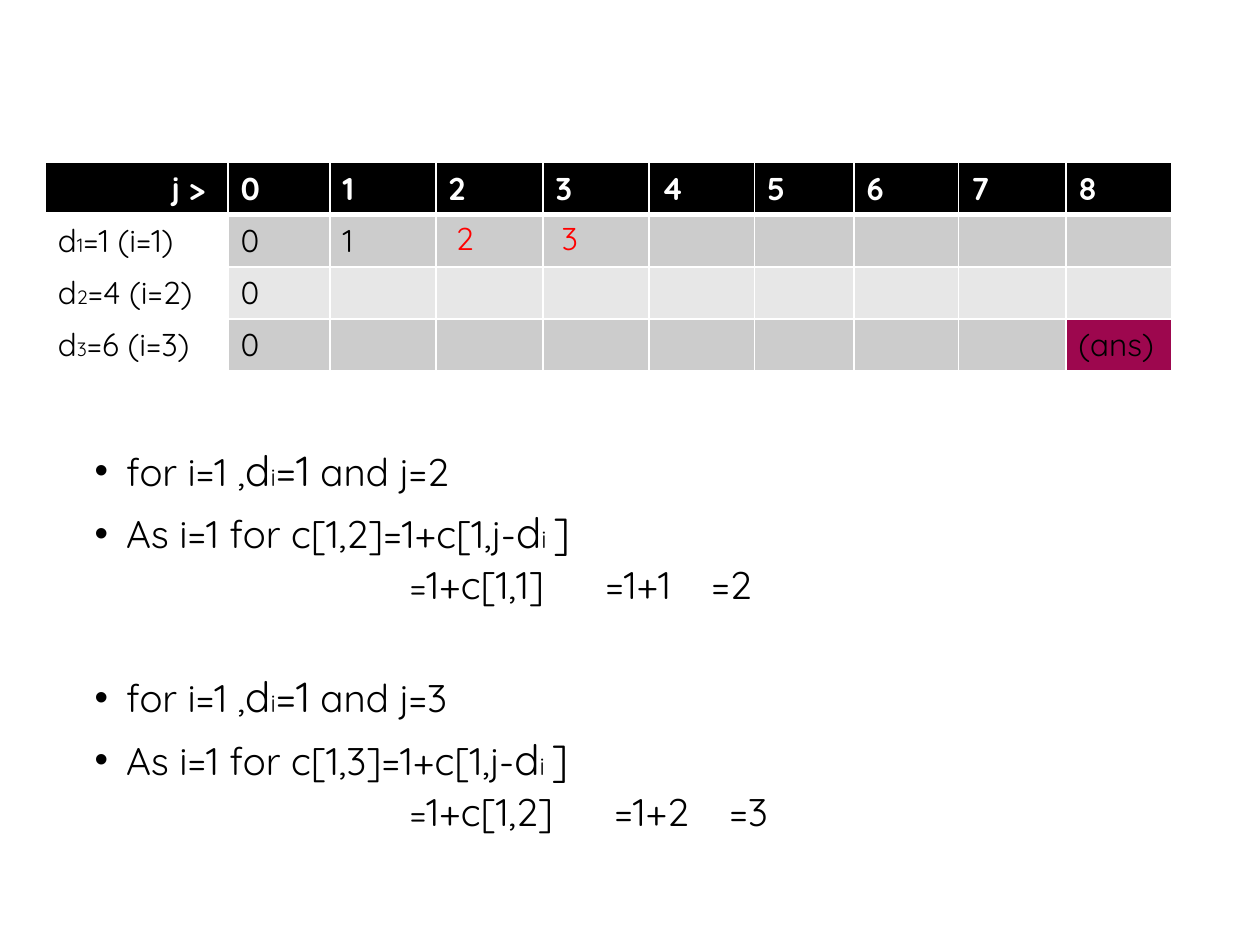
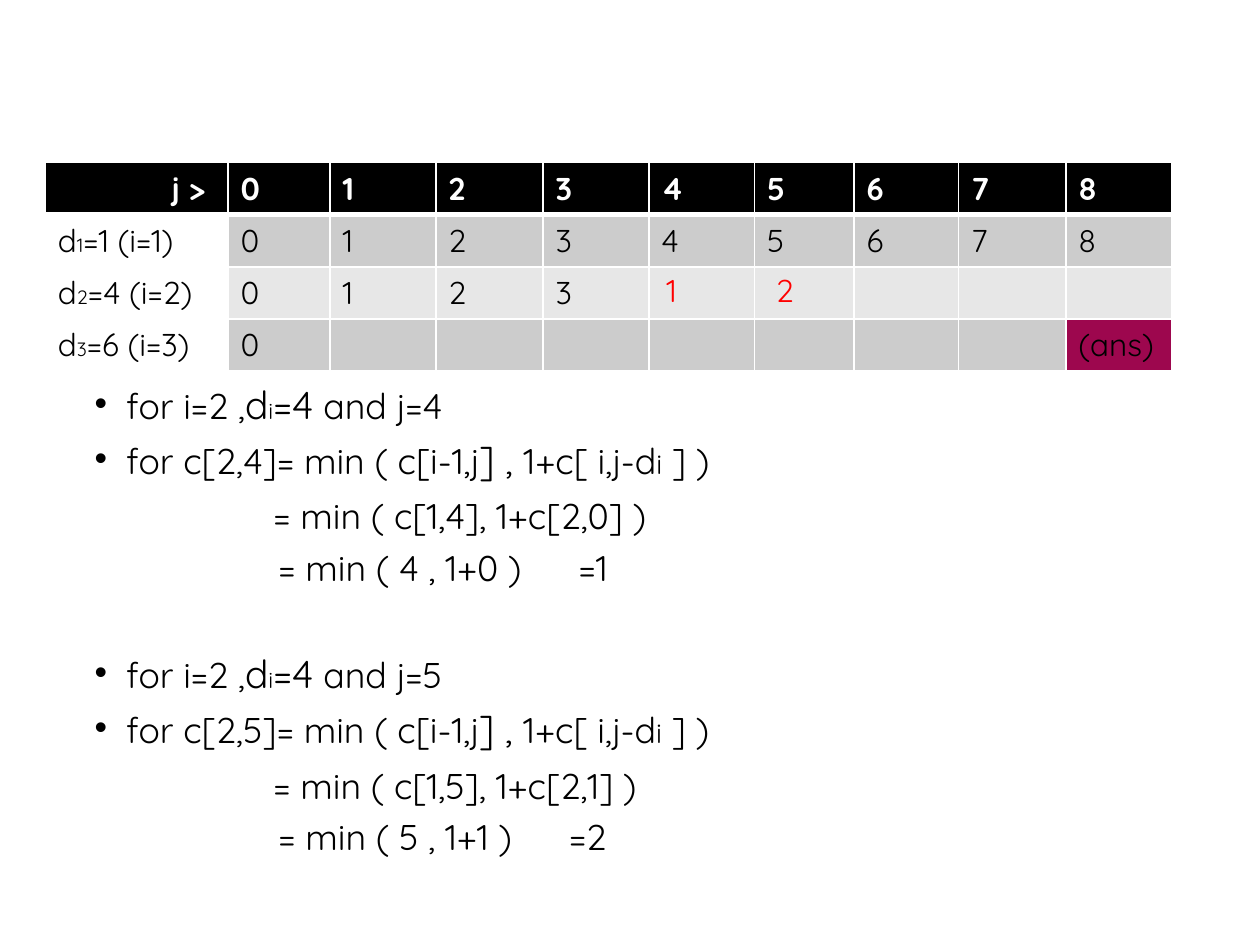
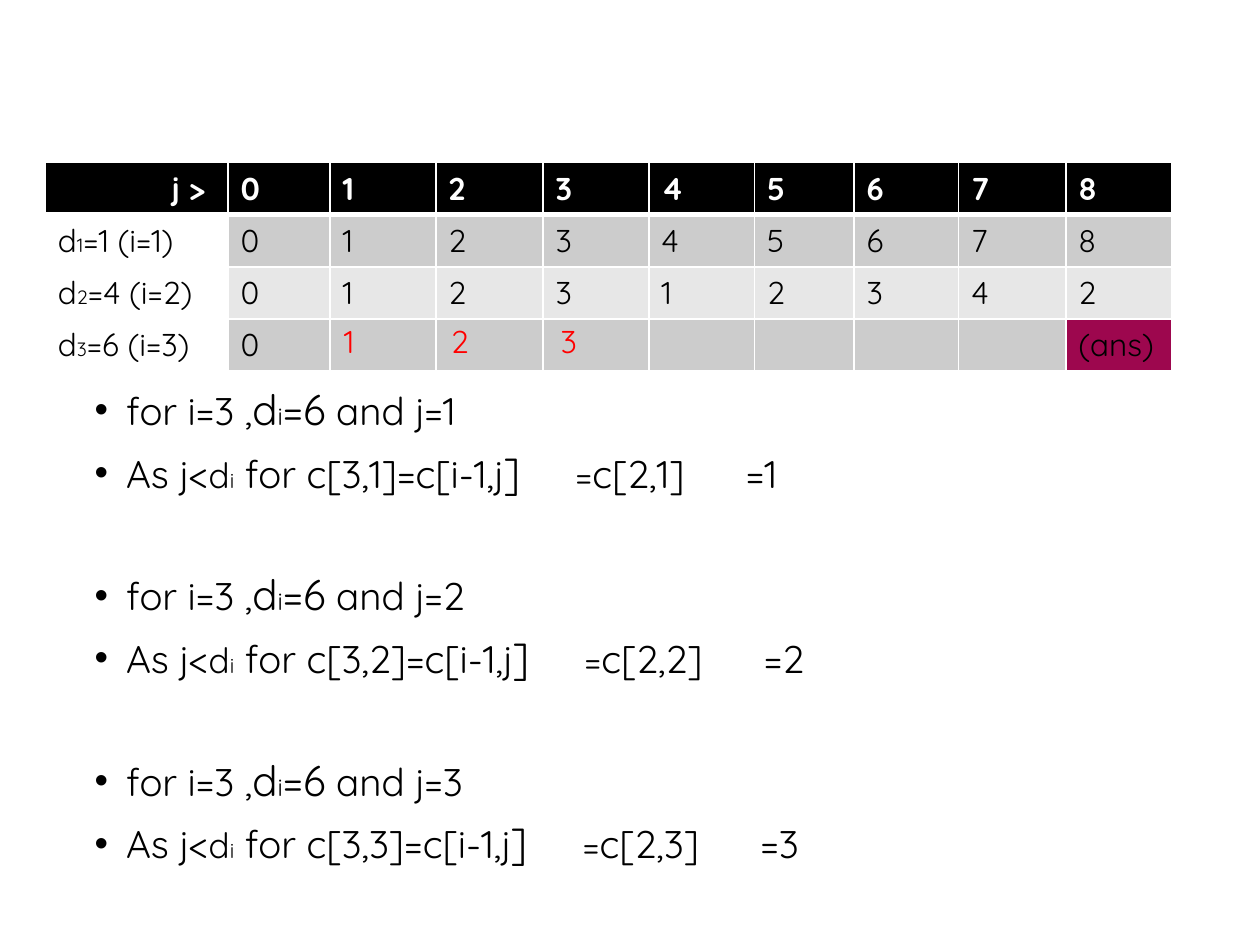
from lxml.etree import SubElement
from pptx import Presentation
from pptx.dml.color import RGBColor
from pptx.enum.text import MSO_AUTO_SIZE as AutoSize, PP_ALIGN as Align
from pptx.oxml.ns import qn
from pptx.util import Inches, Pt

FONT = "Quicksand"
COLORS = {
    "text": "000000", "header": "000000", "white": "FFFFFF", "mark": "FF0000",
    "odd_row": "CCCCCC", "even_row": "E7E7E7", "answer": "9D074E",
}

# Table grid, in inches
TABLE_LEFT, TABLE_TOP, ROW_HEIGHT = 0.36, 1.29, 0.41
COLUMN_WIDTHS = [1.45, 0.81, 0.84, 0.85, 0.84, 0.84, 0.79, 0.83, 0.85, 0.84]
COINS = [1, 4, 6]

# Text sizes: plain, large, subscript
FULL_SIZES = (22, 24, 14)
TIGHT_SIZES = (20.4, 22.2, 12.9)


def color(name):
    return RGBColor.from_string(COLORS[name])


def add_run(para, text, size, color_name="text", bold=False, stretch=0):
    """Add one run; stretch widens its letter spacing, in points."""
    span = para.add_run()
    span.text = text
    span.font.name = FONT
    span.font.size = Pt(size)
    span.font.bold = bold
    span.font.color.rgb = color(color_name)
    if stretch:
        span._r.get_or_add_rPr().set("spc", str(stretch * 100))


# Table
def set_borders(cell, top, bottom):
    properties = cell._tc.get_or_add_tcPr()
    for side, width in (("L", 1), ("R", 1), ("T", top), ("B", bottom)):
        line = SubElement(properties, qn(f"a:ln{side}"), w=str(Pt(width)))
        fill = SubElement(line, qn("a:solidFill"))
        SubElement(fill, qn("a:srgbClr"), val=COLORS["white"])


def fill_name(row, column):
    if row == 0:
        return "header"
    if column == 0:
        return "white"
    if (row, column) == (3, 9):
        return "answer"
    return "odd_row" if row % 2 else "even_row"


def add_coin_table(page, values):
    """values holds the numbers known so far, one string for each coin."""
    frame = page.shapes.add_table(
        4, 10, Inches(TABLE_LEFT), Inches(TABLE_TOP),
        Inches(sum(COLUMN_WIDTHS)), Inches(4 * ROW_HEIGHT))
    table = frame.table
    table.horz_banding = False
    for column, width in zip(table.columns, COLUMN_WIDTHS):
        column.width = Inches(width)
    for row, line in enumerate(table.rows):
        line.height = Inches(ROW_HEIGHT)
        for column, cell in enumerate(line.cells):
            set_borders(cell, top=3 if row == 1 else 1,
                        bottom=3 if row == 0 else 1)
            cell.fill.solid()
            cell.fill.fore_color.rgb = color(fill_name(row, column))
            para = cell.text_frame.paragraphs[0]
            para.font.size = Pt(18)
            if row == 0:
                label = str(column - 1) if column else "j >"
                add_run(para, label, 18, "white", bold=True)
            elif column == 0:
                add_run(para, "d", 18)
                add_run(para, str(row), 11)
                add_run(para, f"={COINS[row - 1]} (i={row})", 18)
            elif column <= len(values[row - 1]):
                add_run(para, values[row - 1][column - 1], 18)
            elif (row, column) == (3, 9):
                add_run(para, "(ans)", 18)
    corner = table.cell(0, 0)
    corner.margin_right = Inches(0.18)
    corner.text_frame.paragraphs[0].alignment = Align.RIGHT


def add_marks(page, row, marks):
    """Write the newly found numbers in red over a table row."""
    for left, text in marks:
        top = 1.69 + (row - 1) * ROW_HEIGHT
        box = page.shapes.add_textbox(
            Inches(left), Inches(top), Inches(0.28), Inches(0.4))
        box.text_frame.word_wrap = True
        box.text_frame.auto_size = AutoSize.SHAPE_TO_FIT_TEXT
        add_run(box.text_frame.paragraphs[0], text, 18, "mark")


# Body text: a line is (runs, space before, left indent or None for a bullet)
def add_body(page, lines, spacing, height=3.82, top_inset=0.05):
    body = page.placeholders[1]
    body.left, body.top = Inches(0.65), Inches(3.04)
    body.width, body.height = Inches(8.7), Inches(height)
    frame = body.text_frame
    frame.auto_size = AutoSize.NONE
    frame.margin_top = Inches(top_inset)
    for number, (runs, before, indent) in enumerate(lines):
        para = frame.add_paragraph() if number else frame.paragraphs[0]
        para.line_spacing = spacing
        para.space_before = Pt(before if number else 0)
        properties = para._p.get_or_add_pPr()
        bulleted = indent is None
        properties.set("marL", str(Inches(0.25 if bulleted else indent)))
        properties.set("indent", str(Inches(-0.25 if bulleted else 0)))
        if bulleted:
            SubElement(properties, qn("a:buChar"), char="•")
        else:
            SubElement(properties, qn("a:buNone"))
        for text, size, *stretch in runs:
            add_run(para, text, size, stretch=stretch[0] if stretch else 0)


def case_line(i, j, sizes, before):
    plain, large, small = sizes
    runs = [(f"for i={i} ,", plain), ("d", large), ("i", small),
            (f"={COINS[i - 1]}", large), (f" and j={j}", plain)]
    return runs, before, None


def first_coin_lines(j):
    plain, large, small = FULL_SIZES
    formula = [(f"As i=1 for c[1,{j}]=1+c[1,j-", plain), ("d", large),
               ("i ", small), ("]", large)]
    result = [("=", 20), (f"1+c[1,{j - 1}]", plain), (" ", plain, 29),
              (f"=1+{j - 1}", plain), (" ", plain, 17), (f"={j}", plain)]
    return [case_line(1, j, FULL_SIZES, 39), (formula, 10, None),
            (result, 5, 2.5)]


def second_coin_lines(j):
    plain, large, _ = TIGHT_SIZES
    rest = j - COINS[1]
    formula = [(f"for c[2,{j}]= min ( c[i-1,j", plain), ("] , ", large),
               ("1+c[ i,j-d", plain), ("i", 15.7), (" ] )", plain)]
    lookup = [(f"= min ( c[1,{j}], 1+c[2,{rest}] )", plain)]
    result = [(f"= min ( {j} , 1+{rest} )", plain), (" ", plain, 27),
              (f"={1 + rest}", plain)]
    return [case_line(2, j, TIGHT_SIZES, 40), (formula, 10, None),
            (lookup, 12, 1.42), (result, 10, 1.46)]


def third_coin_lines(j):
    plain, large, _ = FULL_SIZES
    formula = [("As j<", plain), ("d", 20), ("i", 12),
               (f" for c[3,{j}]=c[i-1,j", plain), ("]", large),
               (" ", large, 25), ("=", 20), (f"c[2,{j}]", plain),
               (" ", plain, 29), (f"={j}", plain)]
    return [case_line(3, j, FULL_SIZES, 44), (formula, 10, None)]


def add_page(deck, values, row, marks, lines, spacing, **body_options):
    page = deck.slides.add_slide(deck.slide_layouts[1])
    title = page.shapes.title._element
    title.getparent().remove(title)
    add_body(page, lines, spacing, **body_options)
    add_coin_table(page, values)
    add_marks(page, row, marks)


def main():
    deck = Presentation()
    deck.slide_width, deck.slide_height = Inches(10), Inches(7.5)
    add_page(deck, ["01", "0", "0"], 1, [(3.52, "2"), (4.36, "3")],
             first_coin_lines(2) + first_coin_lines(3), 0.9, top_inset=0.53)
    add_page(deck, ["012345678", "0123", "0"], 2, [(5.19, "1"), (6.06, "2")],
             second_coin_lines(4) + second_coin_lines(5), 0.8)
    add_page(deck, ["012345678", "012312342", "0"], 3,
             [(2.63, "1"), (3.48, "2"), (4.35, "3")],
             [line for j in (1, 2, 3) for line in third_coin_lines(j)],
             0.9, height=4.07)
    deck.save("out.pptx")


if __name__ == "__main__":
    main()
